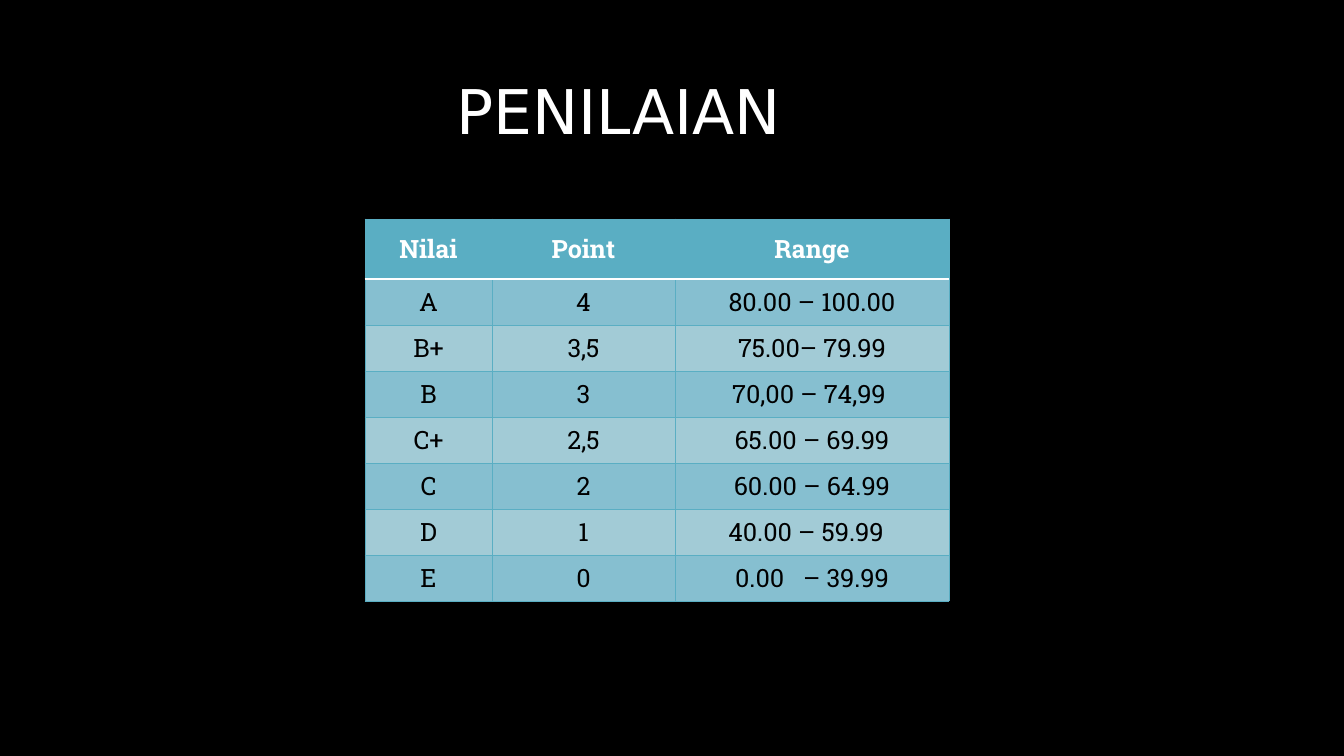
from lxml.etree import SubElement
from pptx import Presentation
from pptx.dml.color import RGBColor
from pptx.enum.text import MSO_ANCHOR, PP_ALIGN
from pptx.oxml.ns import qn
from pptx.util import Emu, Pt

SCALE = 914400 / 100.8
HUES = {"back": "000000", "white": "FFFFFF", "ink": "000000",
        "teal": "5AAEC3", "odd": "86BFD0", "even": "A2CBD6"}
FONTS = {
    "title": {"name": "DejaVu Sans", "size": Pt(44), "bold": False},
    "head": {"name": "Roboto Slab", "size": Pt(18), "bold": True},
    "body": {"name": "Roboto Slab", "size": Pt(18), "bold": False},
}
WIDTHS = [127, 183, 274]
HEIGHTS = [60] + [46] * 7
GRADES = [
    ("Nilai", "Point", "Range"),
    ("A", "4", "80.00 – 100.00"),
    ("B+", "3,5", "75.00– 79.99"),
    ("B", "3", "70,00 – 74,99"),
    ("C+", "2,5", "65.00 – 69.99"),
    ("C", "2", "60.00 – 64.99"),
    ("D", "1", "40.00 – 59.99"),
    ("E", "0", "0.00 – 39.99"),
]
SHIFTS = {"B": 6, "D": 12}
GAPS = {"E": 9}


def px(num):
    return Emu(round(num * SCALE))


def tint(hue):
    return RGBColor.from_string(HUES[hue])


class Deck:
    def __init__(self, wide, high):
        self.show = Presentation()
        self.show.slide_width, self.show.slide_height = px(wide), px(high)
        self.slide = self.show.slides.add_slide(self.show.slide_layouts[5])
        fill = self.slide.background.fill
        fill.solid()
        fill.fore_color.rgb = tint("back")

    def label(self, para, text, style, hue):
        para.alignment = PP_ALIGN.CENTER
        run = para.add_run()
        run.text = text
        for key, value in FONTS[style].items():
            setattr(run.font, key, value)
        run.font.color.rgb = tint(hue)
        return run

    def title(self, text, left, top, wide, high):
        shape = self.slide.shapes.title
        place = {"left": left, "top": top, "width": wide, "height": high}
        for key, value in place.items():
            setattr(shape, key, px(value))
        frame = shape.text_frame
        frame.word_wrap = True
        frame.vertical_anchor = MSO_ANCHOR.MIDDLE
        para = frame.paragraphs[0]
        para.line_spacing = 0.9
        self.label(para, text, "title", "white")

    def edge(self, cell, side, hue, points):
        props = cell._tc.get_or_add_tcPr()
        line = SubElement(props, qn("a:" + side), w=str(Pt(points)))
        fill = SubElement(line, qn("a:solidFill"))
        SubElement(fill, qn("a:srgbClr"), val=HUES[hue])

    def cell(self, cell, text, row, shift=0, gap=0):
        style, hue, fill = "body", "ink", "odd" if row % 2 else "even"
        if row == 0:
            style, hue, fill = "head", "white", "teal"
        cell.vertical_anchor = MSO_ANCHOR.MIDDLE
        cell.margin_right = px(10 + shift)
        para = cell.text_frame.paragraphs[0]
        if gap:
            start, text = text.split(" ", 1)
            self.label(para, start, style, hue)
            space = self.label(para, " ", style, hue)
            space._r.get_or_add_rPr().set("spc", str(gap * 100))
        self.label(para, text, style, hue)
        for side in ("lnL", "lnR", "lnT", "lnB"):
            rule = (row, side) in ((0, "lnB"), (1, "lnT"))
            self.edge(cell, side, *(("white", 1) if rule else ("teal", 0.5)))
        cell.fill.solid()
        cell.fill.fore_color.rgb = tint(fill)

    def table(self, rows, left, top):
        grid = self.slide.shapes.add_table(
            len(rows), len(WIDTHS), px(left), px(top),
            px(sum(WIDTHS)), px(sum(HEIGHTS))).table
        for col, wide in zip(grid.columns, WIDTHS):
            col.width = px(wide)
        for row, high in zip(grid.rows, HEIGHTS):
            row.height = px(high)
        for r, texts in enumerate(rows):
            for c, text in enumerate(texts):
                grade = texts[0] if c == 2 else None
                self.cell(grid.cell(r, c), text, r,
                          SHIFTS.get(grade, 0), GAPS.get(grade, 0))


def main():
    deck = Deck(1344, 756)
    deck.title("PENILAIAN", 259, 68, 720, 93)
    deck.table(GRADES, 365, 219)
    deck.show.save("out.pptx")


if __name__ == "__main__":
    main()
